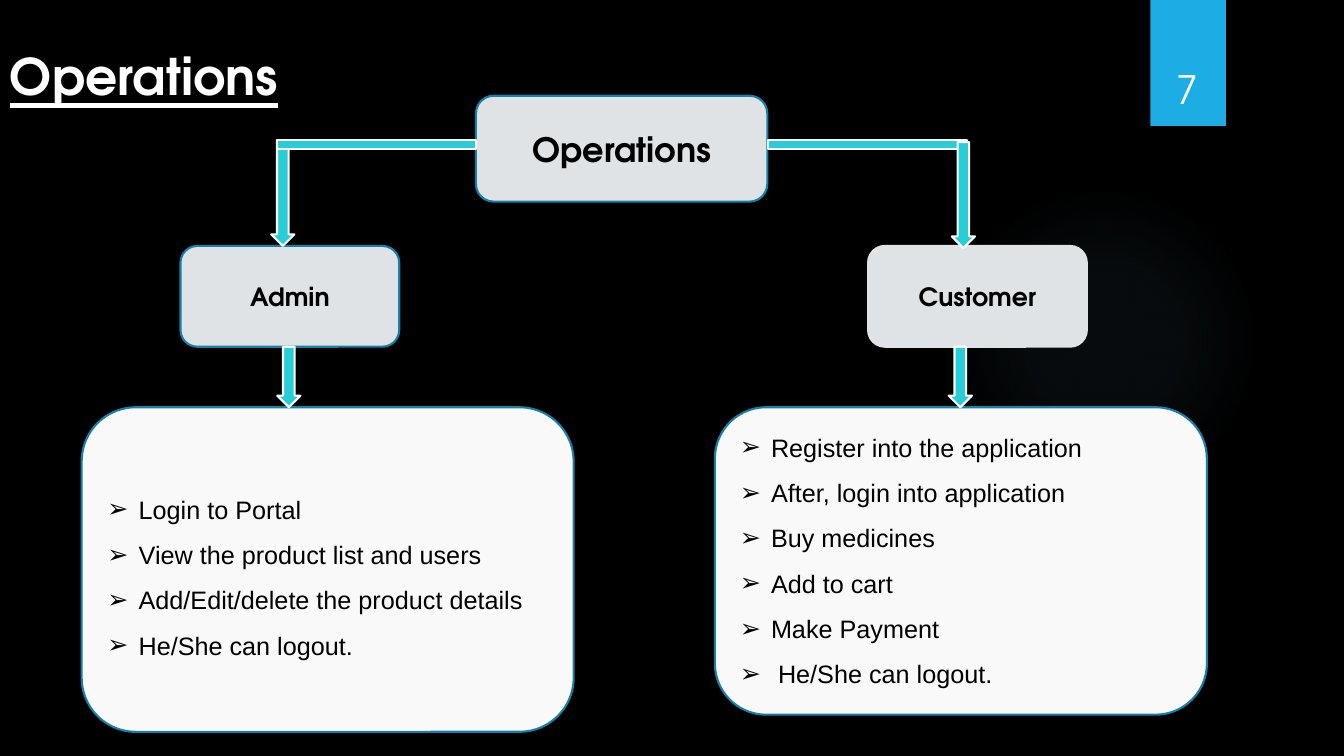
from dataclasses import dataclass
from lxml.etree import SubElement
from pptx import Presentation
from pptx.dml.color import RGBColor
from pptx.enum.shapes import MSO_SHAPE
from pptx.enum.text import MSO_ANCHOR, PP_ALIGN
from pptx.oxml import parse_xml
from pptx.oxml.ns import nsdecls, qn
from pptx.util import Inches, Pt


@dataclass(frozen=True)
class Theme:
    background: str = "000000"
    ink: str = "000000"
    white: str = "FFFFFF"
    glow: str = "70A1C0"
    tab: str = "1CADE4"
    node: str = "DFE3E5"
    panel: str = "F9F9FA"
    border: str = "1580A9"
    arrow: str = "27CED7"
    heading_font: str = "TeX Gyre Adventor"
    body_font: str = "Arial"
    title_size: int = 36
    number_size: int = 28
    root_size: int = 24
    body_size: int = 18
    line_width: float = 1.5
    list_pitch: float = 32.4


theme = Theme()


def add_block(kind, box, fill, line=None):
    block = slide.shapes.add_shape(kind, *map(Inches, box))
    block.shadow.inherit = False
    block.fill.solid()
    block.fill.fore_color.rgb = RGBColor.from_string(fill)
    if line:
        block.line.color.rgb = RGBColor.from_string(line)
        block.line.width = Pt(theme.line_width)
    else:
        block.line.fill.background()
    return block


def write(holder, text, size, color, font, align, anchor, bold=False):
    frame = holder.text_frame
    frame.word_wrap = True
    frame.vertical_anchor = anchor
    frame.text = text
    for paragraph in frame.paragraphs:
        paragraph.alignment = align
        style = paragraph.runs[0].font
        style.name = font
        style.size = Pt(size)
        style.bold = bold
        style.color.rgb = RGBColor.from_string(color)
    return frame


deck = Presentation()
deck.slide_width, deck.slide_height = Inches(13.33), Inches(7.5)
slide = deck.slides.add_slide(deck.slide_layouts[6])
slide.background.fill.solid()
slide.background.fill.fore_color.rgb = RGBColor.from_string(theme.background)

glow = add_block(MSO_SHAPE.OVAL, (9.41, 1.83, 3.08, 3.08), theme.glow)
stops = "".join(
    f'<a:gs pos="{position * 1000}"><a:srgbClr val="{theme.glow}">'
    f'<a:alpha val="{opacity * 1000}"/></a:srgbClr></a:gs>'
    for position, opacity in ((0, 7), (36, 6), (69, 0), (100, 0))
)
radial_fill = parse_xml(
    f'<a:gradFill {nsdecls("a")} rotWithShape="1"><a:gsLst>{stops}</a:gsLst>'
    '<a:path path="circle"><a:fillToRect l="50000" t="50000" r="50000" b="50000"/>'
    "</a:path></a:gradFill>"
)
glow_properties = glow.element.spPr
glow_properties.replace(glow_properties.find(qn("a:solidFill")), radial_fill)

add_block(MSO_SHAPE.RECTANGLE, (11.41, 0, 0.75, 1.25), theme.tab)
page_number = slide.shapes.add_textbox(*map(Inches, (11.32, 0.32, 0.92, 0.84)))
write(page_number, "7", theme.number_size, theme.white, theme.heading_font,
      PP_ALIGN.CENTER, MSO_ANCHOR.BOTTOM)

title = slide.shapes.add_textbox(*map(Inches, (0, 0.4, 11.5, 1.45)))
title_frame = write(title, "Operations", theme.title_size, theme.white,
                    theme.heading_font, PP_ALIGN.LEFT, MSO_ANCHOR.TOP, True)
title_frame.paragraphs[0].runs[0].font.underline = True

for label, box, size, border in (
    ("Operations", (4.72, 0.95, 2.89, 1.05), theme.root_size, theme.border),
    ("Admin", (1.79, 2.44, 2.17, 1), theme.body_size, theme.border),
    ("Customer", (8.61, 2.44, 2.17, 1), theme.body_size, theme.node),
):
    node = add_block(MSO_SHAPE.ROUNDED_RECTANGLE, box, theme.node, border)
    write(node, label, size, theme.ink, theme.heading_font,
          PP_ALIGN.CENTER, MSO_ANCHOR.MIDDLE, True)

admin_tasks = (
    "Login to Portal",
    "View the product list and users",
    "Add/Edit/delete the product details",
    "He/She can logout.",
)
customer_tasks = (
    "Register into the application",
    "After, login into application",
    "Buy medicines",
    "Add to cart",
    "Make Payment",
    " He/She can logout.",
)
for tasks, left, height, bottom_margin in (
    (admin_tasks, 0.81, 3.22, 0.05),
    (customer_tasks, 7.09, 3.05, 0.21),
):
    panel = add_block(MSO_SHAPE.ROUNDED_RECTANGLE, (left, 4.04, 4.88, height),
                      theme.panel, theme.border)
    task_frame = write(panel, "\n".join(tasks), theme.body_size, theme.ink,
                       theme.body_font, PP_ALIGN.LEFT, MSO_ANCHOR.MIDDLE)
    task_frame.margin_bottom = Inches(bottom_margin)
    for task in task_frame.paragraphs:
        task.line_spacing = Pt(theme.list_pitch)
        properties = task._p.get_or_add_pPr()
        properties.set("marL", str(Inches(0.31)))
        properties.set("indent", str(-Inches(0.31)))
        SubElement(properties, qn("a:buFont"), typeface=theme.body_font)
        SubElement(properties, qn("a:buChar"), char="➢")

for kind, box in (
    (MSO_SHAPE.DOWN_ARROW, (2.75, 3.44, 0.23, 0.6)),
    (MSO_SHAPE.DOWN_ARROW, (9.41, 3.44, 0.23, 0.6)),
    (MSO_SHAPE.DOWN_ARROW, (2.69, 1.39, 0.23, 1.05)),
    (MSO_SHAPE.FLOWCHART_PROCESS, (2.75, 1.39, 1.97, 0.09)),
    (MSO_SHAPE.FLOWCHART_PROCESS, (7.62, 1.39, 1.97, 0.09)),
    (MSO_SHAPE.DOWN_ARROW, (9.44, 1.41, 0.23, 1.05)),
):
    add_block(kind, box, theme.arrow, theme.white)

deck.save("out.pptx")
